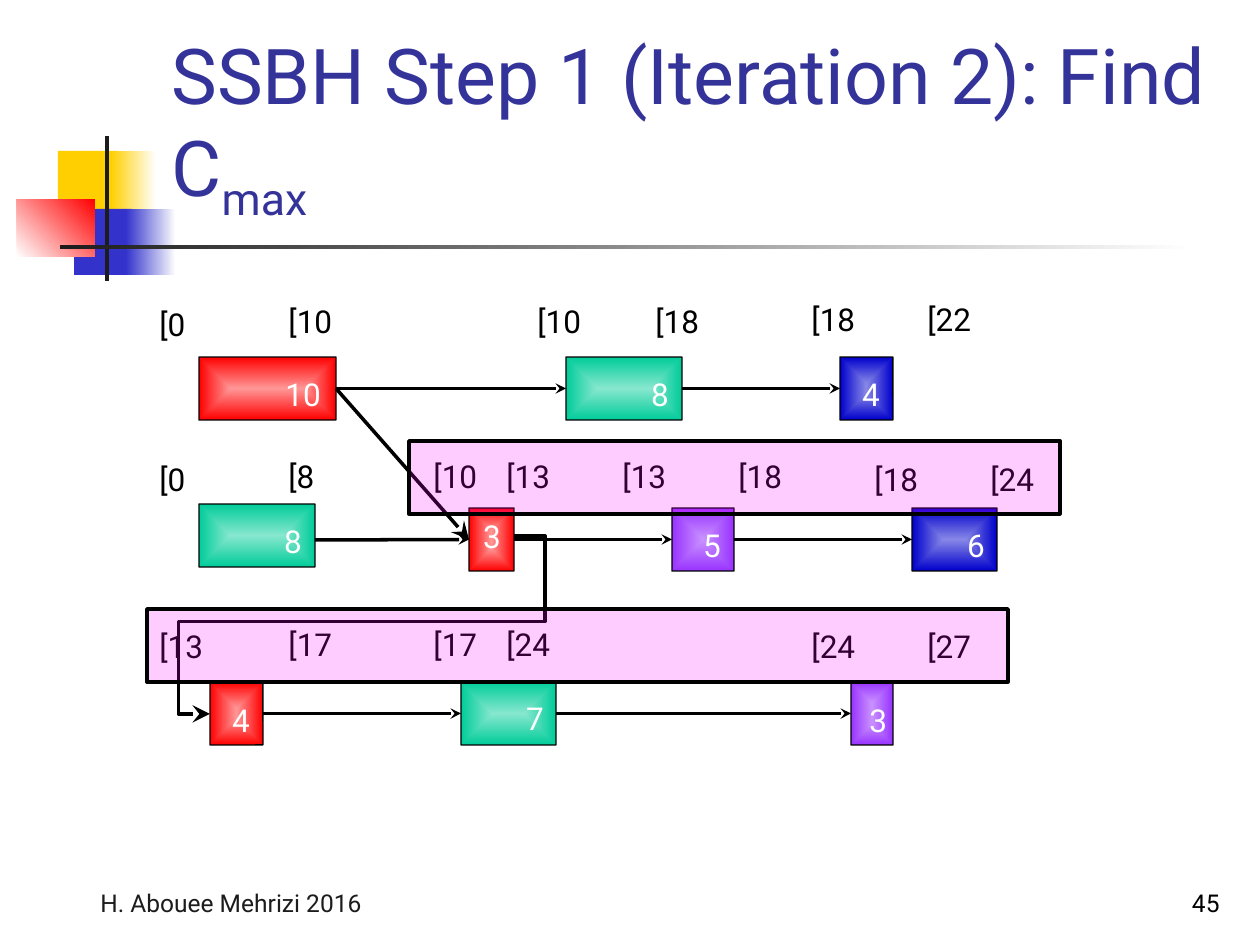
from dataclasses import dataclass

from lxml.etree import SubElement
from pptx import Presentation
from pptx.dml.color import RGBColor
from pptx.enum.shapes import MSO_CONNECTOR, MSO_SHAPE
from pptx.enum.text import MSO_ANCHOR, MSO_AUTO_SIZE, PP_ALIGN
from pptx.oxml.ns import qn
from pptx.util import Emu, Pt


@dataclass(frozen=True)
class Theme:
    font: str = "Roboto"
    title_size: int = 44
    body_size: int = 18
    footer_size: int = 14
    title: str = "333399"
    black: str = "000000"
    white: str = "FFFFFF"
    dark: str = "1C1C1C"
    yellow: str = "FFCF01"
    blue: str = "3333CC"
    red: str = "FF0000"
    highlight: str = "FF00FF"
    red_job: tuple = ("FF9696", "FF0000")
    green_job: tuple = ("87E7CF", "00CC99")
    blue_job: tuple = ("8787E7", "0000CC")
    purple_job: tuple = ("C891FF", "9933FF")


THEME = Theme()
SCALE = 914400 / 126
JOB_HEIGHT = 63


def px(value):
    return Emu(round(value * SCALE))


def color(code):
    return RGBColor.from_string(code)


def add_run(paragraph, text, size, code):
    run = paragraph.add_run()
    run.text = text
    run.font.name = THEME.font
    run.font.size = Pt(size)
    run.font.color.rgb = color(code)
    return run


def set_gradient(shape, start, end, angle=0):
    shape.fill.gradient()
    shape.fill.gradient_angle = angle
    for stop, code in zip(shape.fill.gradient_stops, (start, end)):
        stop.color.rgb = color(code)


def set_center_gradient(shape, inner, outer):
    set_gradient(shape, inner, outer)
    gradient = shape._element.spPr.find(qn("a:gradFill"))
    gradient.remove(gradient.find(qn("a:lin")))
    rings = SubElement(gradient, qn("a:path"), {"path": "rect"})
    SubElement(rings, qn("a:fillToRect"), dict.fromkeys("ltrb", "50000"))


def add_box(slide, bounds, preset=MSO_SHAPE.RECTANGLE):
    shape = slide.shapes.add_shape(preset, *map(px, bounds))
    shape.shadow.inherit = False
    shape.line.fill.background()
    return shape


def set_outline(line, width):
    line.color.rgb = color(THEME.black)
    line.width = Pt(width)


def add_decoration(slide):
    for bounds, code in (
        ((58, 151, 60, 66), THEME.yellow),
        ((111, 151, 45, 66), (THEME.yellow, THEME.white)),
        ((74, 209, 58, 66), THEME.blue),
        ((126, 209, 50, 66), (THEME.blue, THEME.white)),
        ((17, 199, 78, 58), (THEME.white, THEME.red, 45)),
        ((105, 136, 4, 145), THEME.dark),
        ((60, 245, 1134, 4), (THEME.dark, THEME.white)),
    ):
        shape = add_box(slide, bounds)
        if isinstance(code, tuple):
            set_gradient(shape, *code)
        else:
            shape.fill.solid()
            shape.fill.fore_color.rgb = color(code)


def add_title(slide):
    title = slide.shapes.title
    title.left, title.top, title.width, title.height = map(px, (159, 29, 1073, 202))
    frame = title.text_frame
    frame.auto_size = MSO_AUTO_SIZE.NONE
    frame.vertical_anchor = MSO_ANCHOR.BOTTOM
    paragraph = frame.paragraphs[0]
    paragraph.alignment = PP_ALIGN.LEFT
    add_run(paragraph, "SSBH Step 1 (Iteration 2): Find C", THEME.title_size, THEME.title)
    subscript = add_run(paragraph, "max", THEME.title_size, THEME.title)
    subscript.font._element.set("baseline", "-25000")


def add_footer(slide, bounds, text, alignment, code):
    frame = slide.shapes.add_textbox(*map(px, bounds)).text_frame
    frame.word_wrap = True
    frame.vertical_anchor = MSO_ANCHOR.BOTTOM
    paragraph = frame.paragraphs[0]
    paragraph.alignment = alignment
    add_run(paragraph, text, THEME.footer_size, code)


def add_job(slide, left, top, width, duration, colors, text_top=18, text_right=15):
    shape = add_box(slide, (left, top, width, JOB_HEIGHT), MSO_SHAPE.ROUNDED_RECTANGLE)
    shape.adjustments[0] = 0.003
    set_center_gradient(shape, *colors)
    set_outline(shape.line, 0.75)
    frame = shape.text_frame
    frame.vertical_anchor = MSO_ANCHOR.TOP
    frame.margin_left = frame.margin_bottom = 0
    frame.margin_top, frame.margin_right = px(text_top), px(text_right)
    paragraph = frame.paragraphs[0]
    paragraph.alignment = PP_ALIGN.RIGHT
    add_run(paragraph, duration, THEME.body_size, THEME.white)
    return shape


def add_time(slide, left, top, text):
    width = 53 if len(text) == 2 else 72
    frame = slide.shapes.add_textbox(*map(px, (left, top, width, 50))).text_frame
    frame.word_wrap = False
    add_run(frame.paragraphs[0], text, THEME.body_size, THEME.black)


def add_arrow(slide, start, end, kind=MSO_CONNECTOR.STRAIGHT, head="med"):
    arrow = slide.shapes.add_connector(kind, *map(px, start + end))
    set_outline(arrow.line, 2)
    line = arrow.line._get_or_add_ln()
    SubElement(line, qn("a:tailEnd"), {"type": "stealth", "w": head, "len": head})
    SubElement(arrow._element.spPr, qn("a:effectLst"))
    return arrow


def join_jobs(slide, source, target, head="med"):
    arrow = add_arrow(slide, (0, 0), (0, 0), head=head)
    arrow.begin_connect(source, 3)
    arrow.end_connect(target, 1)


def add_return_arrow(slide, start, end):
    arrow = add_arrow(slide, start, end, MSO_CONNECTOR.ELBOW, "lg")
    geometry = arrow._element.spPr.find(qn("a:prstGeom"))
    geometry.set("prst", "bentConnector5")
    guides = geometry.find(qn("a:avLst"))
    for number, value in enumerate((-10300, 48100, 110300), 1):
        SubElement(guides, qn("a:gd"), {"name": f"adj{number}", "fmla": f"val {value}"})


def add_highlight(slide, bounds):
    panel = add_box(slide, bounds)
    panel.fill.solid()
    panel.fill.fore_color.rgb = color(THEME.highlight)
    set_outline(panel.line, 2)
    fill = panel._element.spPr.find(qn("a:solidFill"))
    SubElement(fill.find(qn("a:srgbClr")), qn("a:alpha"), {"val": "20000"})


def main():
    presentation = Presentation()
    presentation.slide_width, presentation.slide_height = px(1260), px(945)
    slide = presentation.slides.add_slide(presentation.slide_layouts[5])

    add_decoration(slide)
    add_footer(slide, (31, 861, 400, 63), "H. Abouee Mehrizi 2016", PP_ALIGN.CENTER, THEME.dark)
    add_footer(slide, (970, 861, 262, 63), "45", PP_ALIGN.RIGHT, THEME.black)
    add_title(slide)

    first = [
        add_job(slide, 199, 357, 137, "10", THEME.red_job),
        add_job(slide, 566, 357, 116, "8", THEME.green_job, text_right=13),
        add_job(slide, 840, 357, 53, "4", THEME.blue_job, text_right=13),
    ]
    add_job(slide, 199, 504, 116, "8", THEME.green_job, text_right=13)
    second = [
        add_job(slide, 469, 508, 45, "3", THEME.red_job, 9, 13),
        add_job(slide, 672, 508, 62, "5", THEME.purple_job, text_right=13),
        add_job(slide, 912, 508, 85, "6", THEME.blue_job, text_right=12),
    ]
    third = [
        add_job(slide, 210, 682, 53, "4", THEME.red_job, 19, 13),
        add_job(slide, 461, 682, 95, "7", THEME.green_job, 17, 12),
        add_job(slide, 851, 682, 42, "3", THEME.purple_job, 19, 6),
    ]

    for row in (first, second, third):
        for source, target in zip(row, row[1:]):
            join_jobs(slide, source, target)
    add_arrow(slide, (315, 540), (469, 540)).end_connect(second[0], 1)

    for top, times in (
        (296, ((147, 3, "[0"), (276, 0, "[10"), (525, 0, "[10"), (643, 0, "[18"),
               (799, -2, "[18"), (915, -2, "[22"))),
        (451, ((147, 3, "[0"), (276, 0, "[8"), (421, 0, "[10"), (494, 0, "[13"),
               (610, 0, "[13"), (726, 0, "[18"), (862, 3, "[18"), (978, 3, "[24"))),
        (619, ((147, 2, "[13"), (276, 0, "[17"), (421, 0, "[17"), (494, 0, "[24"),
               (799, 2, "[24"), (915, 2, "[27"))),
    ):
        for left, shift, text in times:
            add_time(slide, left, top + shift, text)

    join_jobs(slide, first[0], second[0], "lg")
    add_return_arrow(slide, (514, 536), (210, 714))
    add_highlight(slide, (409, 441, 651, 73))
    add_highlight(slide, (147, 609, 861, 73))

    presentation.save("out.pptx")


if __name__ == "__main__":
    main()
